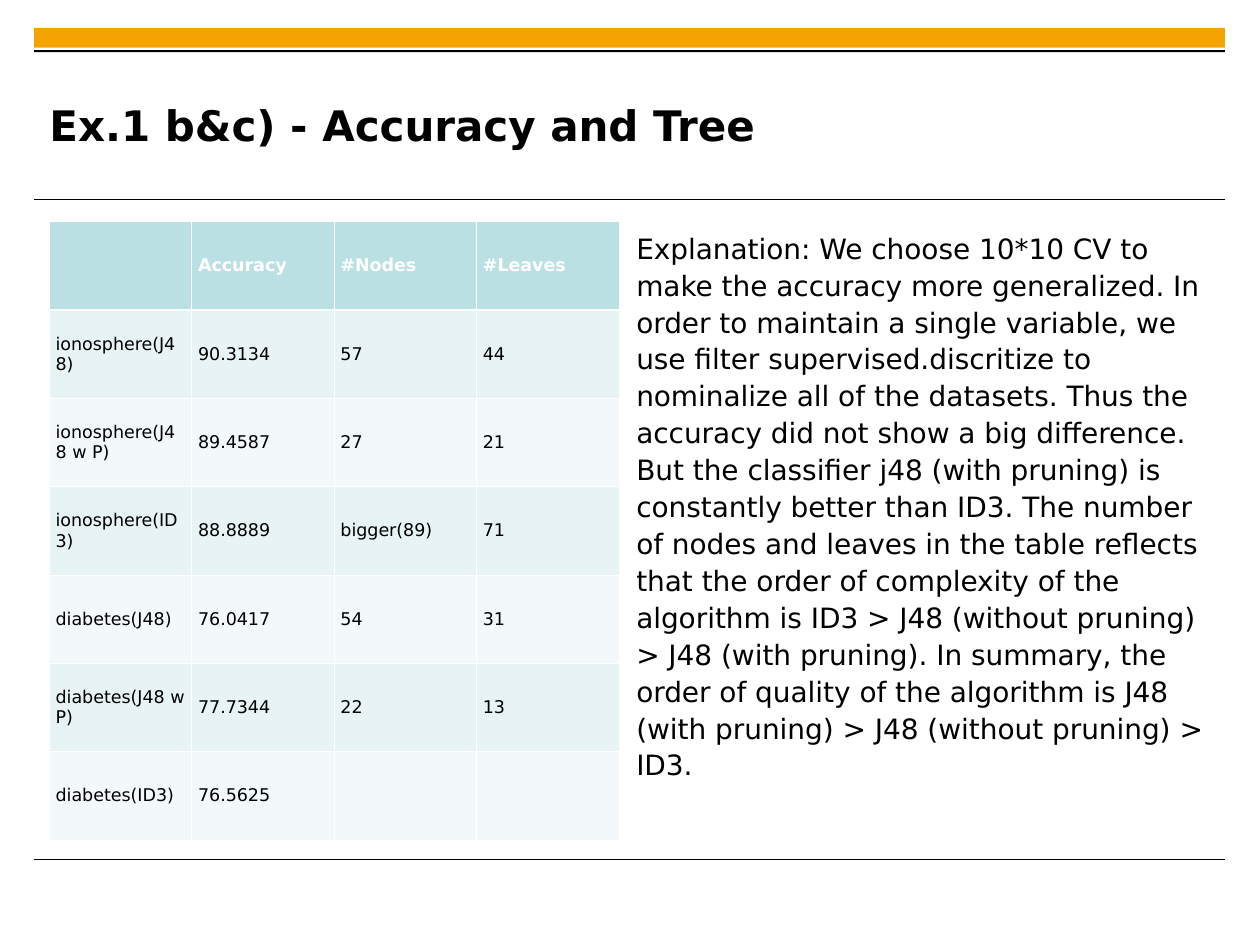
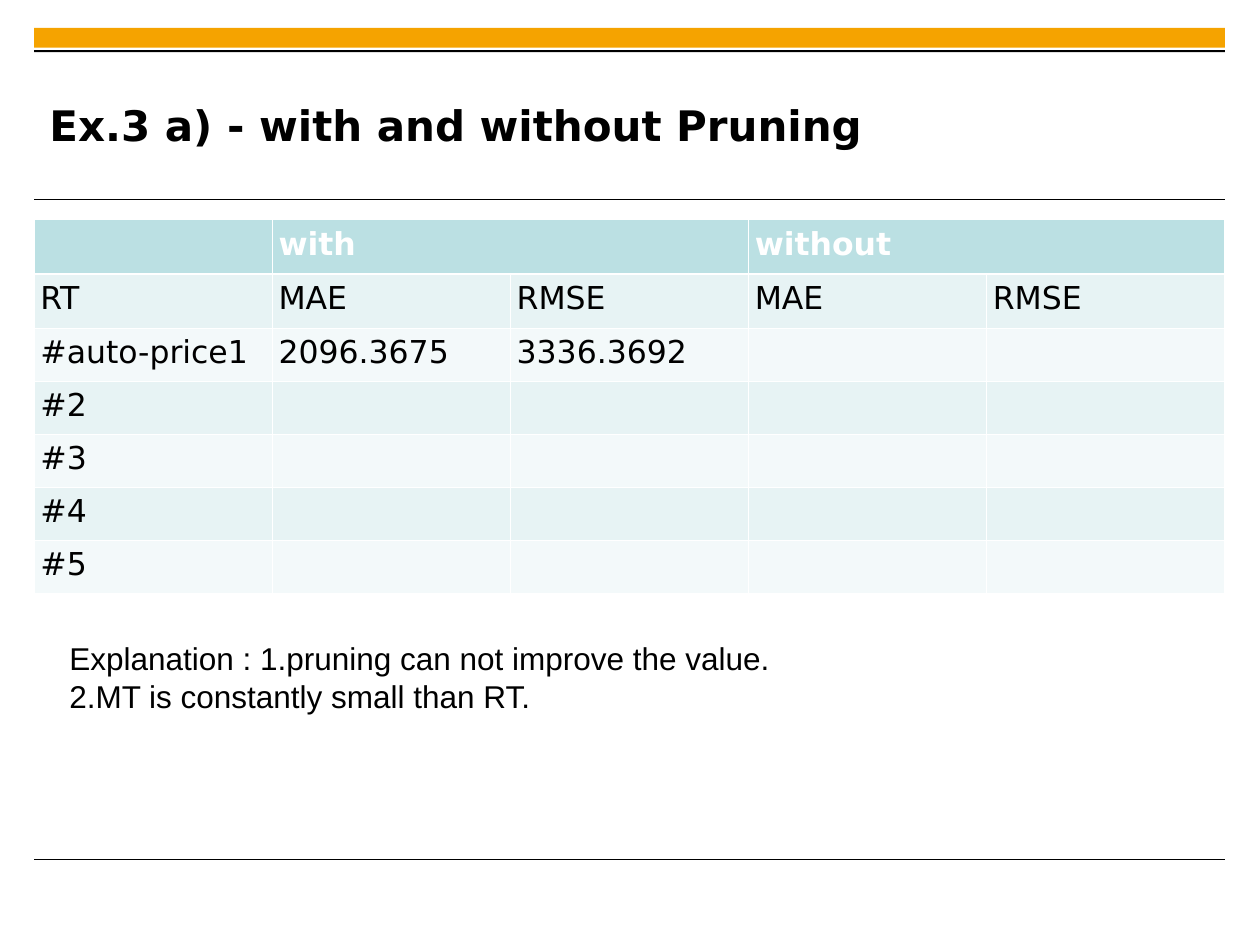
from dataclasses import dataclass

import lxml.etree
import pptx
import pptx.dml.color
import pptx.enum.shapes
import pptx.enum.text
import pptx.oxml.ns
import pptx.util

Pt = pptx.util.Pt
Anchor = pptx.enum.text.MSO_ANCHOR

BLACK, WHITE, AMBER = "000000", "FFFFFF", "F5A300"
HEAD, BANDS = "BBE0E3", ("E7F3F4", "F3F9FA")
SANS = "DejaVu Sans"
LEFT, WIDTH = 19.5, 680.4
INSET = 3.6
THIN, THICK = 0.45, 1.47


@dataclass
class Box:
    left: float
    top: float
    width: float
    height: float

    def place(self) -> tuple:
        return tuple(Pt(n) for n in (self.left, self.top, self.width, self.height))


@dataclass
class Style:
    size: float
    font: str = SANS
    color: str = BLACK
    bold: bool = False


@dataclass
class Grid:
    box: Box
    rows: list[list[str]]
    heights: list[float]
    size: float
    anchor: Anchor
    spans: tuple[int, ...] = ()  # header columns that each cover two


BARS = ((Box(LEFT, 16, WIDTH, 11.3), AMBER), (Box(LEFT, 28.6, WIDTH, 1.2), BLACK))
RULES = (114.2, 491)
TITLE = Box(28.2, 38.4, 541.5, 66.2)


def paint(target, color: str) -> None:
    """Give a fill, line or font format a solid colour."""
    if hasattr(target, "solid"):
        target.solid()
        target = target.fore_color
    else:
        target = target.color
    target.rgb = pptx.dml.color.RGBColor.from_string(color)


def write(frame, lines: list[str], style: Style, space: float = 1) -> None:
    for i, line in enumerate(lines):
        para = frame.add_paragraph() if i else frame.paragraphs[0]
        para.line_spacing = space
        run = para.add_run()
        run.text = line
        run.font.size = Pt(style.size)
        run.font.name = style.font
        run.font.bold = style.bold
        paint(run.font, style.color)


def add_text(slide, box: Box, lines: list[str], style: Style, inset: float = INSET,
             anchor: Anchor = Anchor.TOP, space: float = 1) -> None:
    frame = slide.shapes.add_textbox(*box.place()).text_frame
    frame.word_wrap = True
    frame.vertical_anchor = anchor
    frame.margin_left = frame.margin_right = Pt(inset)
    frame.margin_top = frame.margin_bottom = Pt(inset)
    write(frame, lines, style, space)


def add_bar(slide, box: Box, color: str) -> None:
    bar = slide.shapes.add_shape(pptx.enum.shapes.MSO_SHAPE.RECTANGLE, *box.place())
    bar.shadow.inherit = False
    paint(bar.fill, color)
    bar.line.fill.background()


def add_rule(slide, top: float) -> None:
    rule = slide.shapes.add_connector(
        pptx.enum.shapes.MSO_CONNECTOR.STRAIGHT,
        Pt(LEFT), Pt(top), Pt(LEFT + WIDTH), Pt(top))
    rule.line.width = Pt(0.6)
    paint(rule.line, BLACK)
    props = rule._element.spPr
    lxml.etree.SubElement(props, pptx.oxml.ns.qn("a:effectLst"))


def edge(cell, side: str, width: float) -> None:
    """Draw one white border; call before the cell's fill is set."""
    qn = pptx.oxml.ns.qn
    props = cell._tc.get_or_add_tcPr()
    line = lxml.etree.SubElement(props, qn(f"a:ln{side}"), w=str(int(Pt(width))))
    fill = lxml.etree.SubElement(line, qn("a:solidFill"))
    lxml.etree.SubElement(fill, qn("a:srgbClr"), val=WHITE)


def add_grid(slide, grid: Grid) -> None:
    count = len(grid.rows[0])
    table = slide.shapes.add_table(len(grid.rows), count, *grid.box.place()).table
    for col in table.columns:
        col.width = Pt(grid.box.width / count)
    for r, (texts, height) in enumerate(zip(grid.rows, grid.heights)):
        table.rows[r].height = Pt(height)
        style = Style(grid.size, color=BLACK if r else WHITE, bold=r == 0)
        for c, text in enumerate(texts):
            cell = table.cell(r, c)
            cell.vertical_anchor = grid.anchor
            cell.margin_left = cell.margin_right = Pt(INSET)
            cell.margin_top = cell.margin_bottom = Pt(INSET)
            edge(cell, "L", THIN)
            edge(cell, "R", THIN)
            edge(cell, "T", THICK if r == 1 else THIN)
            edge(cell, "B", THIN if r else THICK)
            cell.fill.solid()
            paint(cell.fill, BANDS[(r - 1) % 2] if r else HEAD)
            if text:
                write(cell.text_frame, [text], style)
    for c in grid.spans:
        table.cell(0, c).merge(table.cell(0, c + 1))


def add_slide(deck, title: str):
    """Start a slide with the shared bars, rules and title."""
    slide = deck.slides.add_slide(deck.slide_layouts[6])
    for box, color in BARS:
        add_bar(slide, box, color)
    for top in RULES:
        add_rule(slide, top)
    add_text(slide, TITLE, [title], Style(24, bold=True), 0, Anchor.MIDDLE)
    return slide


def score(deck) -> None:
    slide = add_slide(deck, "Ex.1 b&c) - Accuracy and Tree")
    add_text(slide, Box(360, 126.7, 340, 353), [
        "Explanation: We choose 10*10 CV to make the accuracy more generalized. "
        "In order to maintain a single variable, we use filter supervised.discritize "
        "to nominalize all of the datasets. Thus the accuracy did not show a big "
        "difference. But the classifier j48 (with pruning) is constantly better than "
        "ID3. The number of nodes and leaves in the table reflects that the order of "
        "complexity of the algorithm is ID3 > J48 (without pruning) > J48 (with "
        "pruning). In summary, the order of quality of the algorithm is J48 (with "
        "pruning) > J48 (without pruning) > ID3."], Style(16), space=1.1)
    rows = [
        ["", "Accuracy", "#Nodes", "#Leaves"],
        ["ionosphere(J48)", "90.3134", "57", "44"],
        ["ionosphere(J48 w P)", "89.4587", "27", "21"],
        ["ionosphere(ID3)", "88.8889", "bigger(89)", "71"],
        ["diabetes(J48)", "76.0417", "54", "31"],
        ["diabetes(J48 w P)", "77.7344", "22", "13"],
        ["diabetes(ID3)", "76.5625", "", ""],
    ]
    box = Box(28.2, 126.7, 325.6, 353.5)
    heights = [box.height / len(rows)] * len(rows)
    add_grid(slide, Grid(box, rows, heights, 10, Anchor.MIDDLE))


def prune(deck) -> None:
    slide = add_slide(deck, "Ex.3 a) - with and without Pruning")
    rows = [
        ["", "with", "", "without", ""],
        ["RT"] + ["MAE", "RMSE"] * 2,
        ["#auto-price1", "2096.3675", "3336.3692", "", ""],
        *([f"#{n}"] + [""] * 4 for n in range(2, 6)),
    ]
    heights = [31.1] * 2 + [30.3] * 5
    box = Box(LEFT, 125.5, WIDTH, sum(heights))
    add_grid(slide, Grid(box, rows, heights, 18, Anchor.TOP, (1, 3)))
    add_text(slide, Box(36, 361.5, 630, 93.6), [
        "Explanation : 1.pruning can not improve the value.",
        "2.MT is constantly small than RT."], Style(18, "Arial"))


def main() -> None:
    deck = pptx.Presentation()
    deck.slide_width, deck.slide_height = Pt(720), Pt(540)
    score(deck)
    prune(deck)
    deck.save("out.pptx")


if __name__ == "__main__":
    main()
